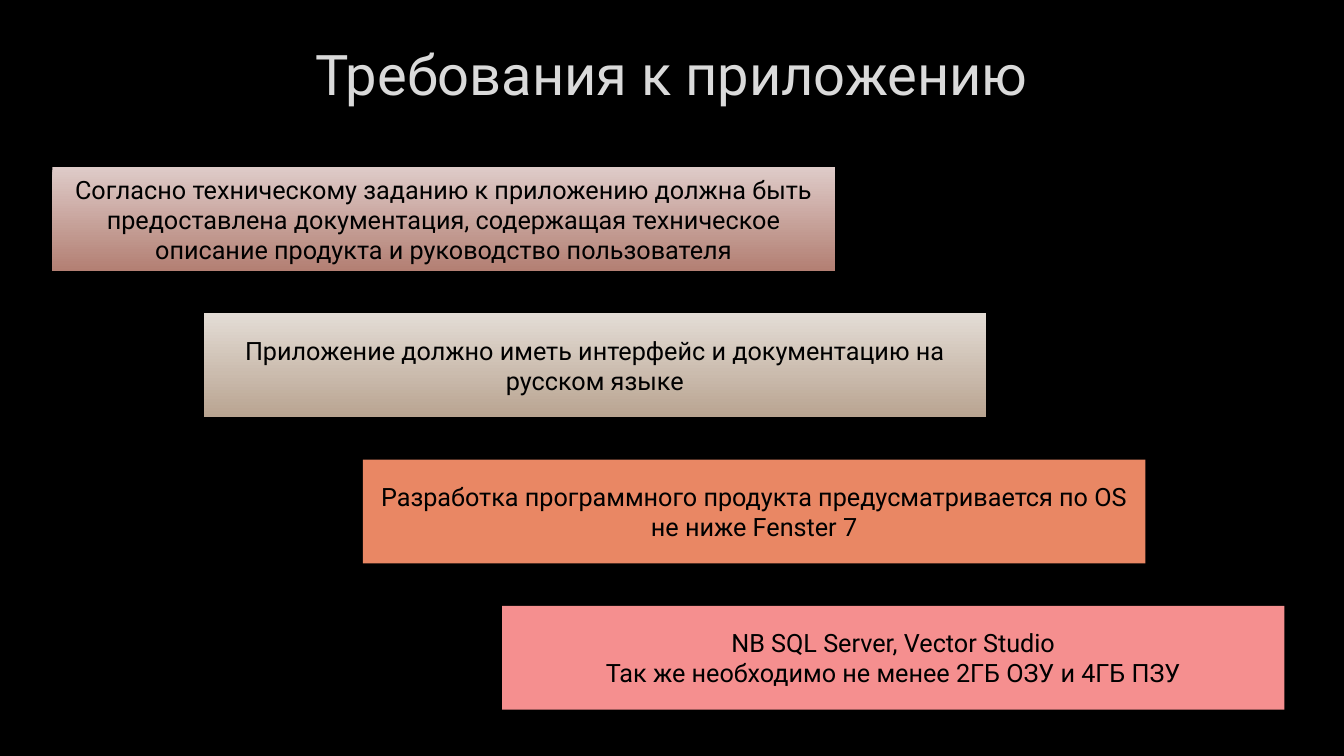
from pptx import Presentation
from pptx.dml.color import RGBColor
from pptx.enum.shapes import MSO_SHAPE as Shape
from pptx.enum.text import MSO_ANCHOR as Anchor, PP_ALIGN as Align
from pptx.util import Inches, Pt

FONT = "Roboto"
BLACK = "000000"
CARD_WIDTH, CARD_HEIGHT = 7.76, 1.03
FIRST_TOP, ROW_STEP = 1.66, 1.45

CARDS = [
    (0.52, ["DECBC8", "B37F73"],
     ["Согласно техническому заданию к приложению должна быть предоставлена "
      "документация, содержащая техническое описание продукта и руководство пользователя"]),
    (2.02, ["E3DCD5", "B9A491"],
     ["Приложение должно иметь интерфейс и документацию на русском языке"]),
    (3.6, ["E98764"],
     ["Разработка программного продукта предусматривается по OS не ниже Fenster 7"]),
    (4.98, ["F58F8F"],
     ["NB SQL Server, Vector Studio",
      "Так же необходимо не менее 2ГБ ОЗУ и 4ГБ ПЗУ"]),
]


def color(value):
    return RGBColor.from_string(value)


def write(box, lines, size, ink):
    frame = box.text_frame
    frame.word_wrap = True
    frame.vertical_anchor = Anchor.MIDDLE
    for index, line in enumerate(lines):
        para = frame.paragraphs[0] if index == 0 else frame.add_paragraph()
        para.alignment = Align.CENTER
        span = para.add_run()
        span.text = line
        span.font.name = FONT
        span.font.size = Pt(size)
        span.font.color.rgb = color(ink)


def paint(fill, colors):
    if len(colors) == 1:
        fill.solid()
        fill.fore_color.rgb = color(colors[0])
        return
    fill.gradient()
    fill.gradient_angle = 270
    for stop, value in zip(fill.gradient_stops, colors):
        stop.color.rgb = color(value)


def add_title(page, text):
    box = page.shapes.add_textbox(Inches(1), Inches(0.2), Inches(11.32), Inches(1.06))
    write(box, [text], 40, "DADADA")


def add_card(page, row, left, colors, lines):
    top = FIRST_TOP + row * ROW_STEP
    card = page.shapes.add_shape(Shape.ROUNDED_RECTANGLE, Inches(left), Inches(top),
                                 Inches(CARD_WIDTH), Inches(CARD_HEIGHT))
    card.adjustments[0] = 0
    card.shadow.inherit = False
    card.line.fill.background()
    paint(card.fill, colors)
    write(card, lines, 18, BLACK)


def main():
    deck = Presentation()
    deck.slide_width, deck.slide_height = Inches(13.33), Inches(7.5)
    page = deck.slides.add_slide(deck.slide_layouts[6])
    paint(page.background.fill, [BLACK])
    add_title(page, "Требования к приложению")
    for row, (left, colors, lines) in enumerate(CARDS):
        add_card(page, row, left, colors, lines)
    deck.save("out.pptx")


if __name__ == "__main__":
    main()
